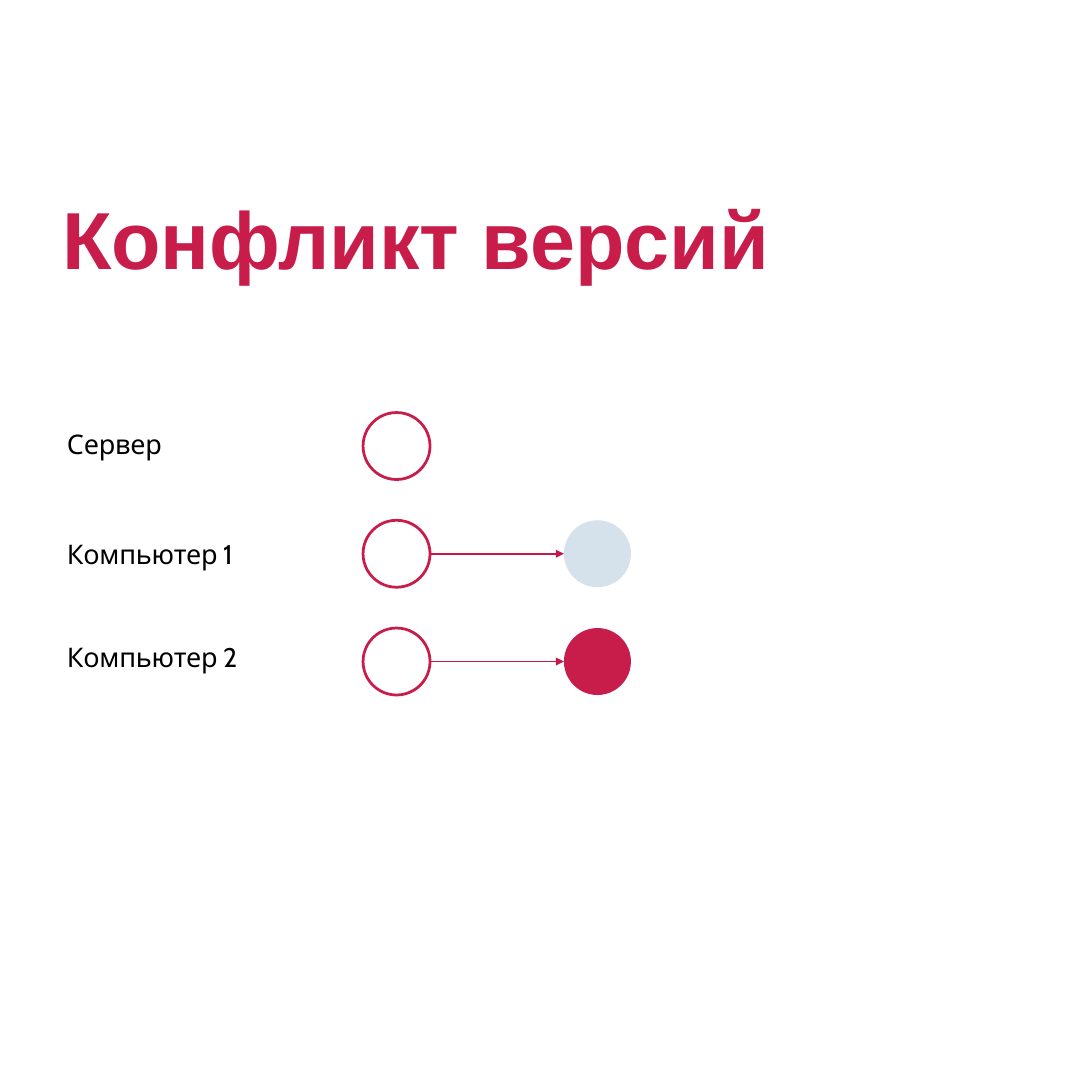
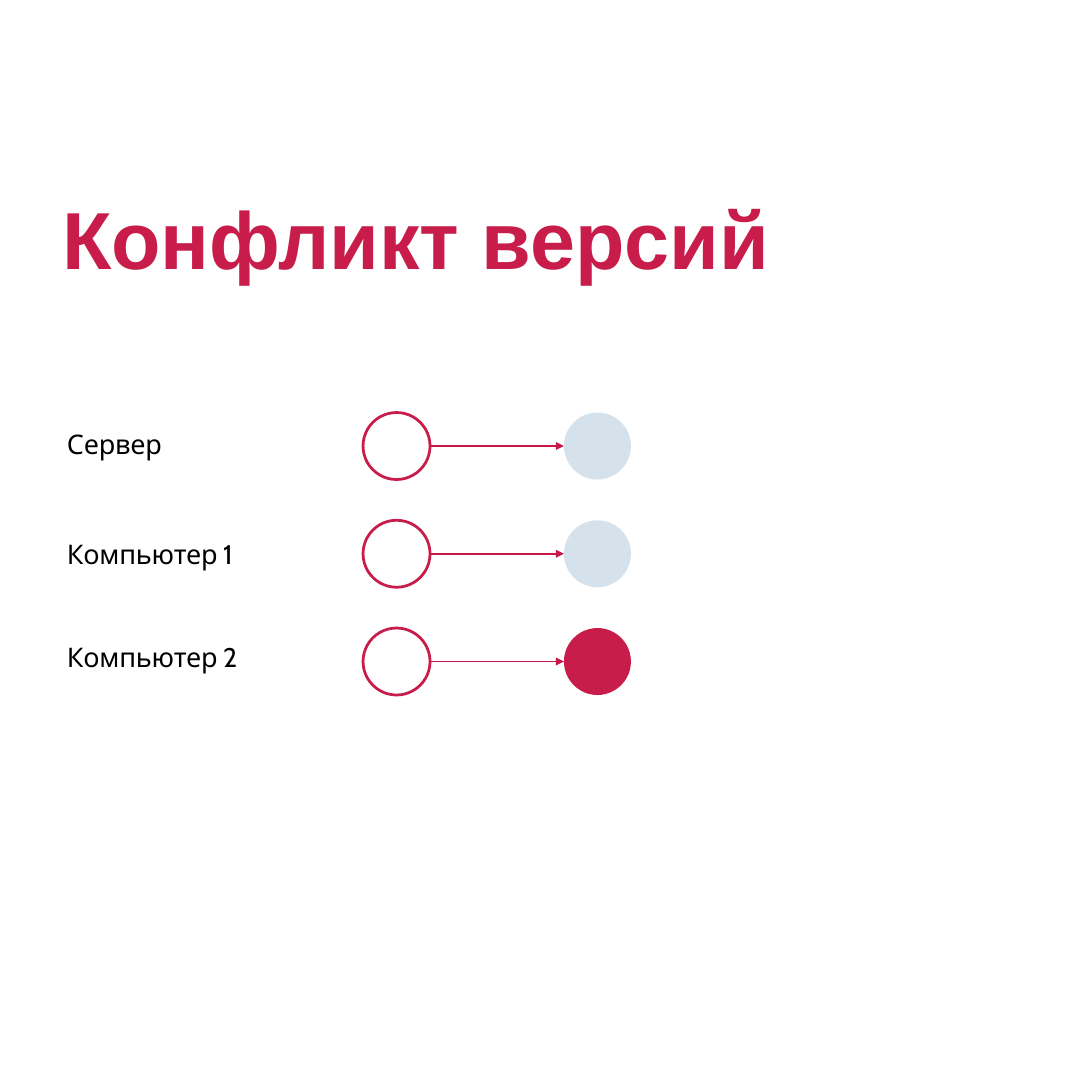
from pptx import Presentation
from pptx.dml.color import RGBColor as Rgb
from pptx.enum.shapes import MSO_CONNECTOR as Link, MSO_SHAPE as Shape
from pptx.oxml.ns import qn
from pptx.util import Inches, Pt
from lxml import etree

COLORS = {"red": "C81D4A", "arrow": "C71647", "blue": "D6E2EB", "black": "000000"}

# Commit rows: label and label top
ROWS = [("Сервер", 4.4), ("Компьютер 1", 5.54), ("Компьютер 2", 6.6)]

# Circle grid
SIZE, LEFT, RIGHT = 0.69, 3.74, 5.81
TOP, STEP = 4.25, 1.11

# Colour of the new commit in each row, slide by slide
STATES = [(None, "blue", "red"), ("blue", "blue", "red")]

deck = Presentation()
deck.slide_width = deck.slide_height = Inches(11.25)


def write(slide, text, x, y, w, h, size=20, font="Cabin", color="black", bold=False, gap=0):
    box = slide.shapes.add_textbox(Inches(x), Inches(y), Inches(w), Inches(h))
    frame = box.text_frame
    frame.word_wrap = True
    frame.margin_left = frame.margin_right = frame.margin_top = frame.margin_bottom = 0
    run = frame.paragraphs[0].add_run()
    run.text = text
    run.font.size, run.font.name, run.font.bold = Pt(size), font, bold
    run.font.color.rgb = Rgb.from_string(COLORS[color])
    if gap:
        run.font._element.set("spc", str(gap))


def circle(slide, x, y, fill=None):
    dot = slide.shapes.add_shape(Shape.OVAL, Inches(x), Inches(y), Inches(SIZE), Inches(SIZE))
    dot.shadow.inherit = False
    if fill:
        dot.fill.solid()
        dot.fill.fore_color.rgb = Rgb.from_string(COLORS[fill])
        dot.line.fill.background()
    else:
        dot.fill.background()
        dot.line.color.rgb = Rgb.from_string(COLORS["red"])
        dot.line.width = Pt(2.04)


for state in STATES:
    slide = deck.slides.add_slide(deck.slide_layouts[6])
    write(slide, "Конфликт версий", 0.64, 1.94, 7.5, 1.2,
          size=60, font="Arial", color="red", bold=True)

    for row, ((name, y), fill) in enumerate(zip(ROWS, state)):
        write(slide, name, 0.69, y, 2.2, 0.35, gap=-20)
        top = TOP + row * STEP
        circle(slide, LEFT, top)
        if not fill:
            continue

        # New commit and the arrow that leads to it
        circle(slide, RIGHT, top, fill)
        mid = Inches(top + SIZE / 2)
        arrow = slide.shapes.add_connector(
            Link.STRAIGHT, Inches(LEFT + SIZE), mid, Inches(RIGHT), mid)
        arrow.line.color.rgb = Rgb.from_string(COLORS["arrow"])
        arrow.line.width = Pt(1.2)
        props = arrow._element.spPr
        etree.SubElement(props.find(qn("a:ln")), qn("a:tailEnd"), type="triangle")
        etree.SubElement(props, qn("a:effectLst"))

deck.save("out.pptx")
